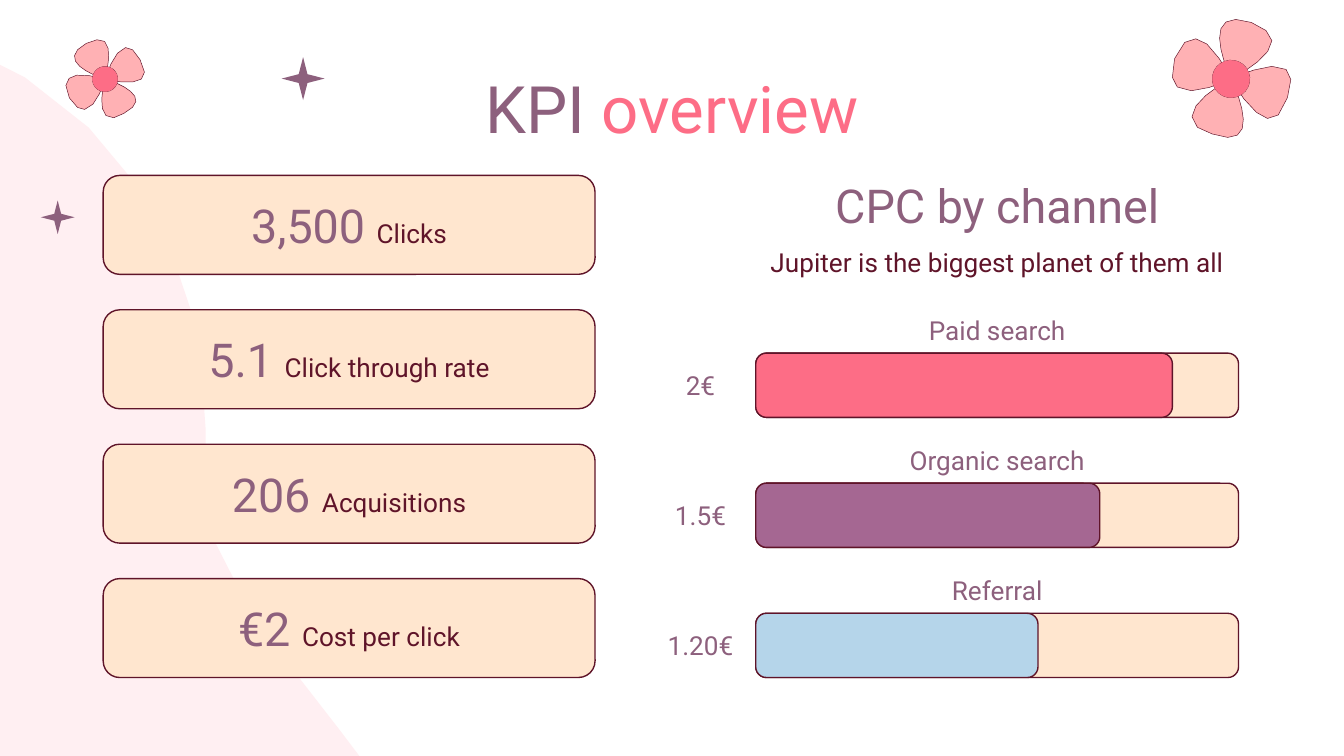
import math
import pptx
import pptx.dml.color
import pptx.enum.shapes
import pptx.enum.text
import pptx.util

Pt = pptx.util.Pt
RGBColor = pptx.dml.color.RGBColor
SHAPE = pptx.enum.shapes.MSO_SHAPE
ANCHOR = pptx.enum.text.MSO_ANCHOR

FONT = "Roboto"
WHITE = RGBColor(0xFF, 0xFF, 0xFF)
PEACH = RGBColor(0xFF, 0xDB, 0xC1)
BLUSH = RGBColor(0xFF, 0xEF, 0xF2)
MAUVE = RGBColor(0x8D, 0x60, 0x7D)
CORAL = RGBColor(0xFD, 0x6D, 0x86)
PETAL = RGBColor(0xFF, 0xB1, 0xB4)
WINE = RGBColor(0x5F, 0x14, 0x29)
CREAM = RGBColor(0xFF, 0xE6, 0xCF)
PLUM = RGBColor(0xA5, 0x67, 0x92)
SKY = RGBColor(0xB5, 0xD5, 0xEA)

# Outlines: a start point, then cubic curves (two controls and an end)
BLOB_TURN = 309.7
BLOB = [(-279, 73), [
    (-291, 88, -299, 104, -300, 119), (-303, 145, -279, 170, -249, 192),
    (-172, 246, -104, 310, -45, 383), (-39, 392, -32, 400, -23, 410),
    (79, 536, 187, 568, 226, 522), (229, 518, 232, 514, 234, 509),
    (262, 446, 107, 338, 110, 261), (113, 184, 102, 72, -31, 19),
    (-135, -23, -235, 20, -279, 73)]]
# Petals are measured from the heart of a flower 90 units wide, as turned
FLOWER_WIDTH = 90
FLOWER_TURN = 39.8
HEART_RADIUS = 14
PETALS = [
    [(-18, -26), [(-8, -17, 0, 0, 0, 0), (0, 0, -30, 15, -40, 6),
                  (-44, 3, -45, -3, -42, -15), (-35, -33, -26, -32, -18, -26)]],
    [(41, -7), [(45, -4, 46, 3, 42, 14), (36, 33, 27, 32, 19, 25),
                (9, 17, 0, 0, 0, 0), (0, 0, 31, -15, 41, -7)]],
    [(0, 0), [(0, 0, 28, 56, -14, 41), (-19, 40, -22, 38, -25, 36),
              (-42, 21, 0, 0, 0, 0)]],
    [(26, -36), [(44, -22, 0, 0, 0, 0), (0, 0, -27, -56, 15, -42),
                 (20, -40, 24, -39, 26, -36)]],
]

CARDS = [("3,500 ", "Clicks"), ("5.1 ", "Click through rate"),
         ("206 ", "Acquisitions"), ("€2 ", "Cost per click")]
CHANNELS = [("Paid search", "2€", 223.2, CORAL),
            ("Organic search", "1.5€", 184.3, PLUM),
            ("Referral", "1.20€", 151.2, SKY)]


def paint(shape, fill, line=None, weight=0.75):
    shape.shadow.inherit = False
    if fill is None:
        shape.fill.background()
    else:
        shape.fill.solid()
        shape.fill.fore_color.rgb = fill
    if line is None:
        shape.line.fill.background()
    else:
        shape.line.color.rgb = line
        shape.line.width = Pt(weight)


def write(shape, spans, anchor=ANCHOR.MIDDLE):
    """Fill a shape with one centred paragraph of (text, size, colour) spans."""
    frame = shape.text_frame
    frame.word_wrap = True
    frame.auto_size = pptx.enum.text.MSO_AUTO_SIZE.NONE
    frame.vertical_anchor = anchor
    frame.margin_left = frame.margin_right = Pt(7.2)
    frame.margin_top = frame.margin_bottom = Pt(7.2)
    para = frame.paragraphs[0]
    para.alignment = pptx.enum.text.PP_ALIGN.CENTER
    for text, size, colour in spans:
        span = para.add_run()
        span.text = text
        span.font.name = FONT
        span.font.size = Pt(size)
        span.font.color.rgb = colour


def add_label(page, box, spans, anchor=ANCHOR.MIDDLE):
    write(page.shapes.add_textbox(*map(Pt, box)), spans, anchor)


def add_preset(page, kind, box, fill, line=None, adjustment=None, weight=0.75):
    shape = page.shapes.add_shape(kind, *map(Pt, box))
    if adjustment is not None:
        shape.adjustments[0] = adjustment
    paint(shape, fill, line, weight)
    return shape


def add_rounded(page, box, fill):
    return add_preset(page, SHAPE.ROUNDED_RECTANGLE, box, fill, WINE, 0.167)


def trace(outline, spacing):
    """Turn an outline of cubic curves into points about one spacing apart."""
    start, curves = outline
    points = [start]
    for x1, y1, x2, y2, x3, y3 in curves:
        x0, y0 = points[-1]
        reach = (math.dist((x0, y0), (x1, y1)) + math.dist((x1, y1), (x2, y2))
                 + math.dist((x2, y2), (x3, y3)))
        steps = max(1, round(reach / spacing))
        for step in range(1, steps + 1):
            t = step / steps
            u = 1 - t
            points.append(tuple(
                u**3 * a + 3 * u * u * t * b + 3 * u * t * t * c + t**3 * d
                for a, b, c, d in ((x0, x1, x2, x3), (y0, y1, y2, y3))))
    return points


def turn(point, degrees):
    x, y = point
    cos, sin = math.cos(math.radians(degrees)), math.sin(math.radians(degrees))
    return x * cos - y * sin, x * sin + y * cos


def add_outline(page, points, pivot, degrees, fill, line=None):
    """Draw upright points, then turn the shape about the pivot."""
    corners = [(Pt(x), Pt(y)) for x, y in points]
    builder = page.shapes.build_freeform(*corners[0])
    builder.add_line_segments(corners[1:], close=True)
    shape = builder.convert_to_shape()
    middle = shape.left + shape.width / 2, shape.top + shape.height / 2
    x, y = turn(middle, degrees)
    shape.left = int(Pt(pivot[0]) + x - shape.width / 2)
    shape.top = int(Pt(pivot[1]) + y - shape.height / 2)
    shape.rotation = degrees
    paint(shape, fill, line, 0.25)


def add_flower(page, box, degrees):
    left, top, size = box
    middle = left + size / 2, top + size / 2
    scale = size / FLOWER_WIDTH
    for petal in PETALS:
        upright = [turn((x * scale, y * scale), -FLOWER_TURN)
                   for x, y in trace(petal, 12)]
        add_outline(page, upright, middle, degrees, PETAL, WINE)
    # Heart: a thin ring under a plain disc
    radius = HEART_RADIUS * scale
    heart = (middle[0] - radius, middle[1] - radius, 2 * radius, 2 * radius)
    for fill, line in ((None, WINE), (CORAL, None)):
        oval = add_preset(page, SHAPE.OVAL, heart, fill, line, weight=0.25)
        oval.rotation = degrees


def add_decoration(page, box):
    add_preset(page, SHAPE.RECTANGLE, box, WHITE)
    upright = [turn(point, -BLOB_TURN) for point in trace(BLOB, 40)]
    add_outline(page, upright, box[:2], BLOB_TURN, BLUSH)
    for star in ((21.9, 107.4, 18, 18), (150.9, 30.6, 23, 23)):
        add_preset(page, SHAPE.STAR_4_POINT, star, MAUVE, adjustment=0.145)
    add_flower(page, (627.1, 9.9, 64.8), FLOWER_TURN)
    add_flower(page, (34.5, 20.6, 43.6), 352.4)


def add_title(page, box):
    title = page.shapes.title
    title.left, title.top, title.width, title.height = map(Pt, box)
    write(title, [("KPI ", 35, MAUVE), ("overview", 35, CORAL)])
    # Bring the title in front of the decoration
    title.element.getparent().append(title.element)


def add_cards(page, box):
    left, top, width, height = box
    card_height = 53
    pitch = (height - card_height) / (len(CARDS) - 1)
    for row, (figure, caption) in enumerate(CARDS):
        card = add_rounded(
            page, (left, top + row * pitch, width, card_height), CREAM)
        write(card, [(figure, 25, MAUVE), (caption, 14, WINE)])


def add_channels(page, box):
    left, top, width, height = box
    value_width, bar_height, name_height = 59.2, 34.4, 25
    bar_left, bar_width = left + value_width, width - value_width
    # Heading
    add_label(page, (bar_left, top, bar_width, 29),
              [("CPC by channel", 25, MAUVE)])
    add_label(page, (bar_left, top + 29.8, bar_width, 29),
              [("Jupiter is the biggest planet of them all", 14, WINE)],
              ANCHOR.TOP)
    # Bars, the last one resting on the bottom of the box
    pitch = 69.7
    first = top + height - bar_height - pitch * (len(CHANNELS) - 1)
    for row, (name, value, filled, colour) in enumerate(CHANNELS):
        y = first + row * pitch
        add_rounded(page, (bar_left, y, bar_width, bar_height), CREAM)
        add_rounded(page, (bar_left, y, filled, bar_height), colour)
        add_label(page, (bar_left, y - name_height, bar_width, name_height),
                  [(name, 14, MAUVE)])
        add_label(page, (left, y, value_width, bar_height),
                  [(value, 14, MAUVE)])


def main():
    deck = pptx.Presentation()
    deck.slide_width, deck.slide_height = Pt(720), Pt(405)
    page = deck.slides.add_slide(deck.slide_layouts.get_by_name("Title Only"))
    page.background.fill.solid()
    page.background.fill.fore_color.rgb = PEACH
    add_decoration(page, (0, 0, 720, 405))
    add_title(page, (56.7, 35.1, 606.6, 45))
    add_cards(page, (55.3, 94, 263.5, 269))
    add_channels(page, (345.7, 95.2, 317.8, 267.8))
    deck.save("out.pptx")


if __name__ == "__main__":
    main()
